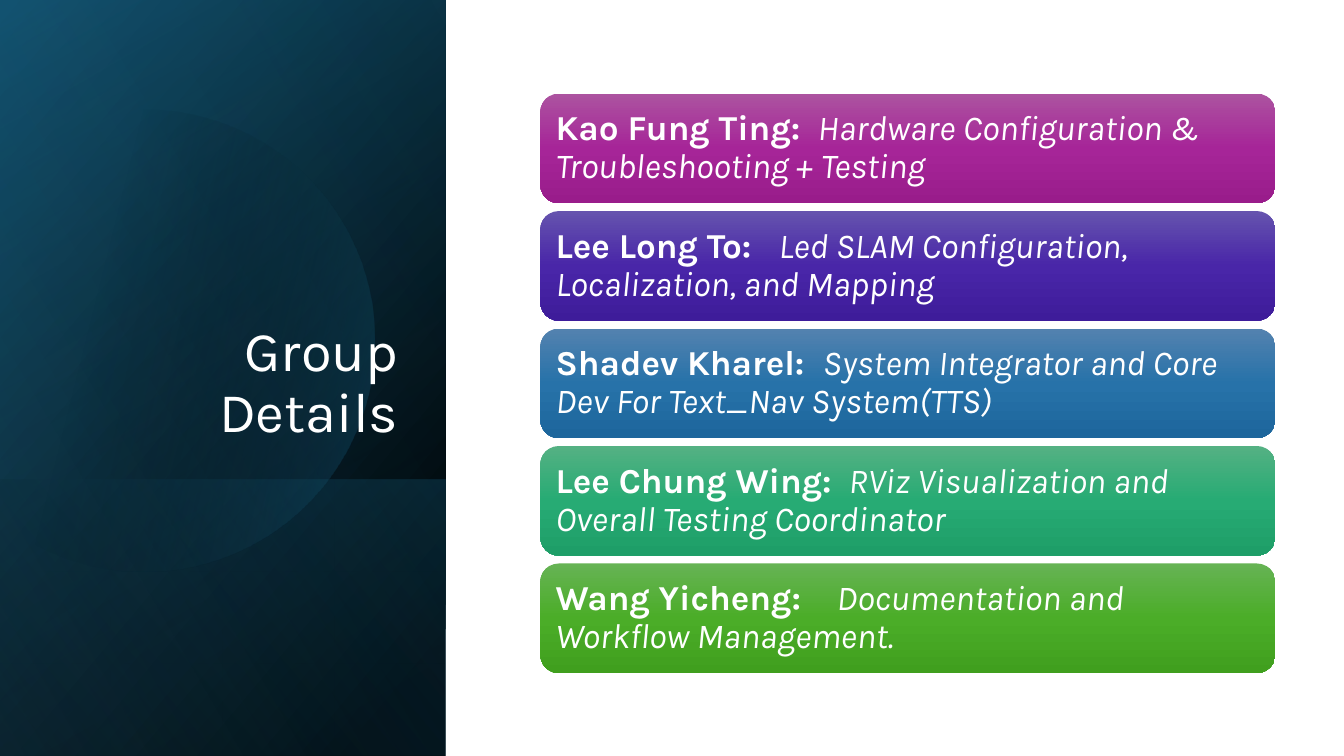
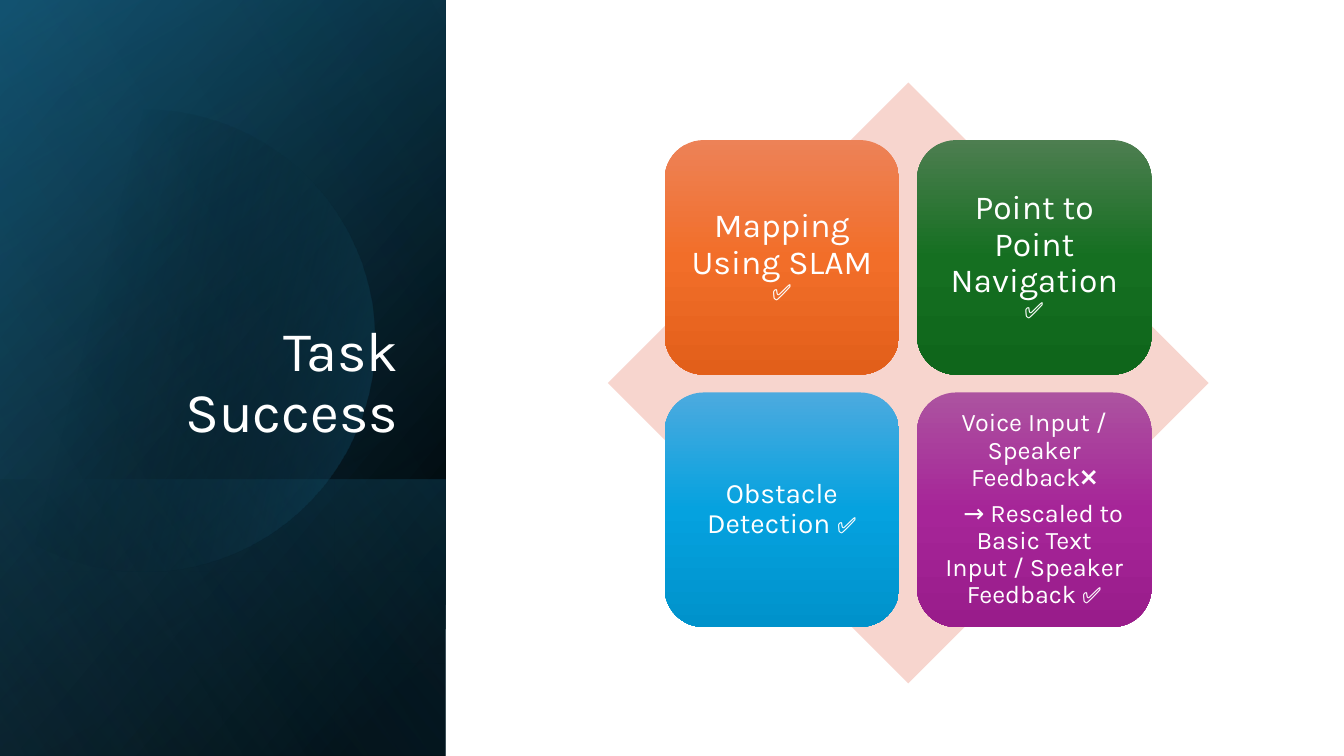
from dataclasses import dataclass
from math import acos, cos, sin

from lxml.etree import SubElement
from pptx import Presentation
from pptx.dml.color import RGBColor
from pptx.enum.shapes import MSO_SHAPE
from pptx.enum.text import MSO_ANCHOR, PP_ALIGN
from pptx.oxml.ns import qn
from pptx.util import Cm, Pt

FONT = "Karla"
WHITE = "FFFFFF"
PANEL_WIDTH = 11.23
PAGE_WIDTH, PAGE_HEIGHT = 33.87, 19.05
BAND_TOP = 12.09


@dataclass(frozen=True)
class Stop:
    position: int
    color: str
    opacity: int = 100


@dataclass(frozen=True)
class PanelLayer:
    top: float
    angle: int
    stops: tuple[Stop, ...]


@dataclass(frozen=True)
class Member:
    name: str
    role: str
    role_start: float
    colors: tuple[str, str, str]


@dataclass(frozen=True)
class Line:
    text: str
    mark: str = ""
    indent: float = 0


@dataclass(frozen=True)
class Task:
    lines: tuple[Line, ...]
    size: int
    inset: float
    colors: tuple[str, str, str]


PURPLE = ("AC53A0", "A62598", "991C8B")

LAYERS_BELOW_DISC = (
    PanelLayer(0, 50, (Stop(8, "000000"), Stop(100, "104862"))),
    PanelLayer(0, 30, (Stop(0, "000000", 0), Stop(99, "156082", 46))),
    PanelLayer(BAND_TOP, 130, (Stop(2, "156082", 29), Stop(100, "000000", 30))),
)
DISC_STOPS = (Stop(29, "000000", 0), Stop(100, "156082", 43))
LAYER_ABOVE_DISC = PanelLayer(0, 120, (Stop(0, "000000", 0), Stop(99, "46B1E1", 11)))

MEMBERS = (
    Member("Kao Fung Ting:", "Hardware Configuration & Troubleshooting + Testing", 6.6, PURPLE),
    Member("Lee Long To:", "Led SLAM Configuration, Localization, and Mapping", 5.62,
           ("6553AE", "4926A8", "3E1C9A")),
    Member("Shadev Kharel:", "System Integrator and Core Dev For Text_Nav System(TTS)", 6.73,
           ("5382AF", "2772A9", "1D669C")),
    Member("Lee Chung Wing:", "RViz Visualization and Overall Testing Coordinator", 7.38,
           ("54B183", "27AB74", "1E9E68")),
    Member("Wang Yicheng:", "Documentation and Workflow Management.", 7.08,
           ("66B354", "4BAD28", "409F1E")),
)

TASKS = (
    Task((Line("Mapping Using SLAM ", "✅"),), 24, 0.25, ("ED8257", "F26E29", "E25F1A")),
    Task((Line("Point to Point Navigation ", "✅"),), 24, 0.25, ("4D7E50", "156F21", "0F661B")),
    Task((Line("Obstacle Detection ", "✅"),), 20, 0.2, ("4CAADF", "05A2DF", "0092CB")),
    Task((Line("Voice Input / Speaker Feedback❌"),
          Line("→ Rescaled to Basic Text Input / Speaker Feedback ", "✅", 0.45)),
         18, 0.18, PURPLE),
)


def hex_color(value: str) -> RGBColor:
    return RGBColor.from_string(value)


def fill_gradient(shape, stops: tuple[Stop, ...], angle: int) -> None:
    shape.fill.gradient()
    gradient = shape._element.spPr.find(qn("a:gradFill"))
    gradient.find(qn("a:lin")).set("ang", str(angle * 60000))
    stop_list = gradient.find(qn("a:gsLst"))
    stop_list.clear()
    for stop in stops:
        entry = SubElement(stop_list, qn("a:gs"), pos=str(stop.position * 1000))
        color = SubElement(entry, qn("a:srgbClr"), val=str(hex_color(stop.color)))
        if stop.opacity < 100:
            SubElement(color, qn("a:alpha"), val=str(stop.opacity * 1000))


def make_plain(shape) -> None:
    shape.shadow.inherit = False
    shape.line.fill.background()


def add_box(page, kind: MSO_SHAPE, left: float, top: float, width: float, height: float):
    box = page.shapes.add_shape(kind, Cm(left), Cm(top), Cm(width), Cm(height))
    make_plain(box)
    return box


def add_card(page, left: float, top: float, width: float, height: float,
             colors: tuple[str, str, str], inset: float):
    card = add_box(page, MSO_SHAPE.ROUNDED_RECTANGLE, left, top, width, height)
    fill_gradient(card, tuple(Stop(50 * i, color) for i, color in enumerate(colors)), 90)
    frame = card.text_frame
    frame.word_wrap = True
    frame.vertical_anchor = MSO_ANCHOR.MIDDLE
    frame.margin_left = frame.margin_right = Cm(inset)
    frame.margin_top = frame.margin_bottom = Cm(inset)
    return card


def format_para(para, align: PP_ALIGN, space_after: float = 0) -> None:
    para.alignment = align
    para.line_spacing = 0.9
    para.space_after = Pt(space_after)


def add_span(para, text: str, *, size: int, bold: bool = False, italic: bool = False,
             color: str = WHITE) -> None:
    span = para.add_run()
    span.text = text
    span.font.name = FONT
    span.font.size = Pt(size)
    span.font.bold = bold
    span.font.italic = italic
    span.font.color.rgb = hex_color(color)


def add_panel_layer(page, layer: PanelLayer) -> None:
    height = PAGE_HEIGHT - layer.top
    shift = (PANEL_WIDTH - height) / 2
    box = add_box(page, MSO_SHAPE.RECTANGLE, shift, layer.top - shift, height, PANEL_WIDTH)
    box.rotation = 90
    box._element.spPr.xfrm.set("flipH", "1")
    fill_gradient(box, layer.stops, layer.angle)


def add_disc(page) -> None:
    center_x, center_y, radius, steps = 3.63, 8.59, 5.82, 90
    reach = acos(-center_x / radius)
    angles = [reach * (2 * i / steps - 1) for i in range(steps + 1)]
    points = [(Cm(center_x + radius * cos(a)), Cm(center_y + radius * sin(a))) for a in angles]
    builder = page.shapes.build_freeform(*points[0])
    builder.add_line_segments(points[1:], close=True)
    disc = builder.convert_to_shape()
    make_plain(disc)
    fill_gradient(disc, DISC_STOPS, 14)


def add_page(deck, title_text: str):
    page = deck.slides.add_slide(deck.slide_layouts[5])
    for layer in LAYERS_BELOW_DISC:
        add_panel_layer(page, layer)
    add_disc(page)
    add_panel_layer(page, LAYER_ABOVE_DISC)
    title = page.shapes.title
    page.shapes._spTree.append(title._element)
    title.left, title.top, title.width, title.height = Cm(1.63), Cm(4.67), Cm(8.66), Cm(6.65)
    frame = title.text_frame
    frame.word_wrap = True
    frame.vertical_anchor = MSO_ANCHOR.BOTTOM
    para = frame.paragraphs[0]
    format_para(para, PP_ALIGN.RIGHT)
    add_span(para, title_text, size=40)
    return page


def add_members(page) -> None:
    size, pitch = 25, 2.96
    for i, member in enumerate(MEMBERS):
        card = add_card(page, 13.62, 2.36 + i * pitch, 18.52, 2.76, member.colors, 0.25)
        para = card.text_frame.paragraphs[0]
        format_para(para, PP_ALIGN.LEFT, size * 0.35)
        tabs = SubElement(para._p.get_or_add_pPr(), qn("a:tabLst"))
        SubElement(tabs, qn("a:tab"), pos=str(int(Cm(member.role_start))), algn="l")
        add_span(para, member.name + "\t", size=size, bold=True)
        add_span(para, member.role, size=size, italic=True)


def add_tasks(page) -> None:
    diamond = add_box(page, MSO_SHAPE.DIAMOND, 15.32, 2.08, 15.14, 15.14)
    diamond.fill.solid()
    diamond.fill.fore_color.rgb = hex_color("F7D5CE")
    side, pitch = 5.91, 6.36
    for i, task in enumerate(TASKS):
        row, column = divmod(i, 2)
        card = add_card(page, 16.75 + column * pitch, 3.53 + row * pitch, side, side,
                        task.colors, task.inset)
        frame = card.text_frame
        for j, line in enumerate(task.lines):
            para = frame.add_paragraph() if j else frame.paragraphs[0]
            format_para(para, PP_ALIGN.CENTER, task.size * 0.35)
            if line.indent:
                para._p.get_or_add_pPr().set("indent", str(int(Cm(line.indent))))
            add_span(para, line.text, size=task.size)
            if line.mark:
                add_span(para, line.mark, size=16)


def main() -> None:
    deck = Presentation()
    deck.slide_width, deck.slide_height = Cm(PAGE_WIDTH), Cm(PAGE_HEIGHT)
    add_members(add_page(deck, "Group Details"))
    add_tasks(add_page(deck, "Task Success"))
    deck.save("out.pptx")


if __name__ == "__main__":
    main()
